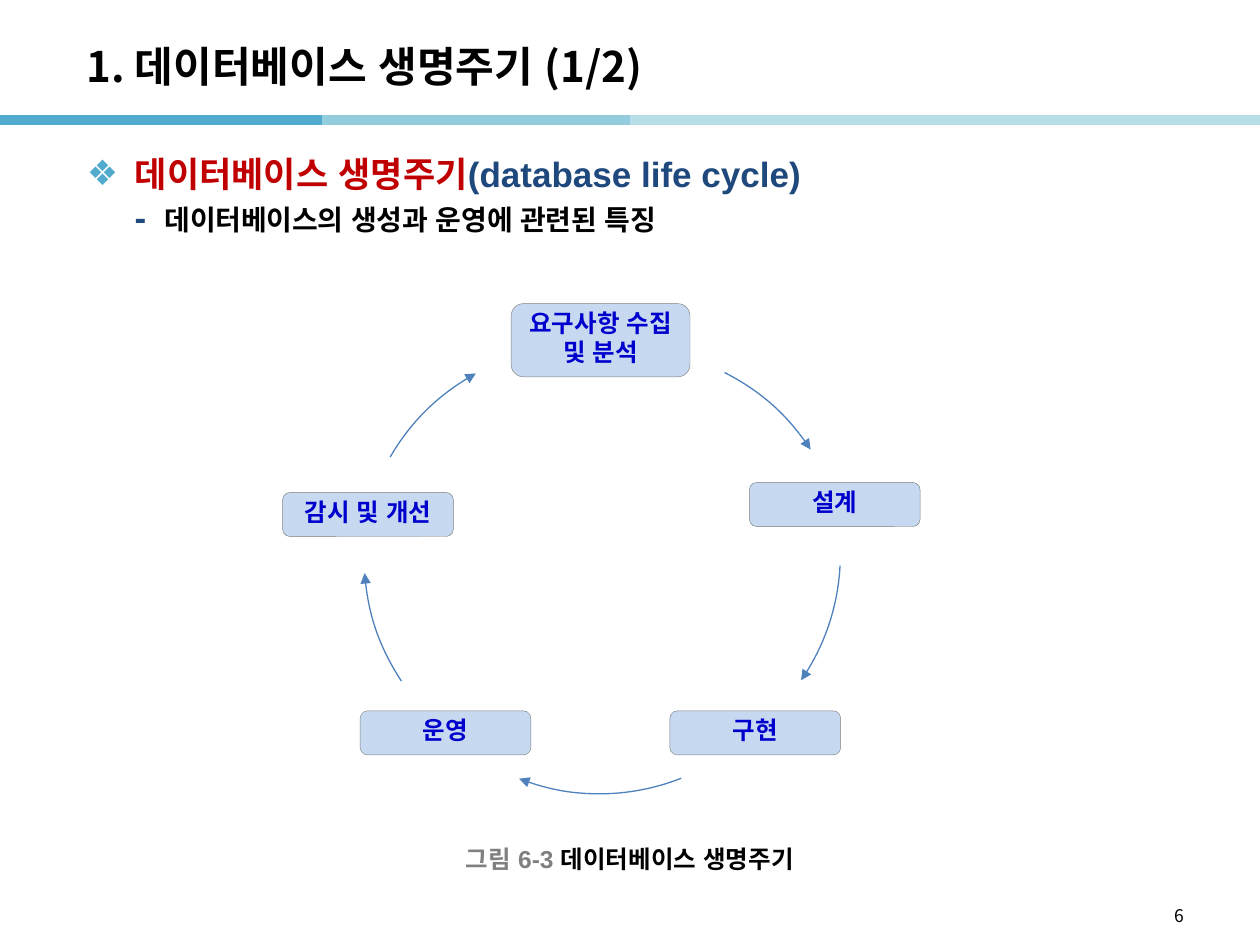
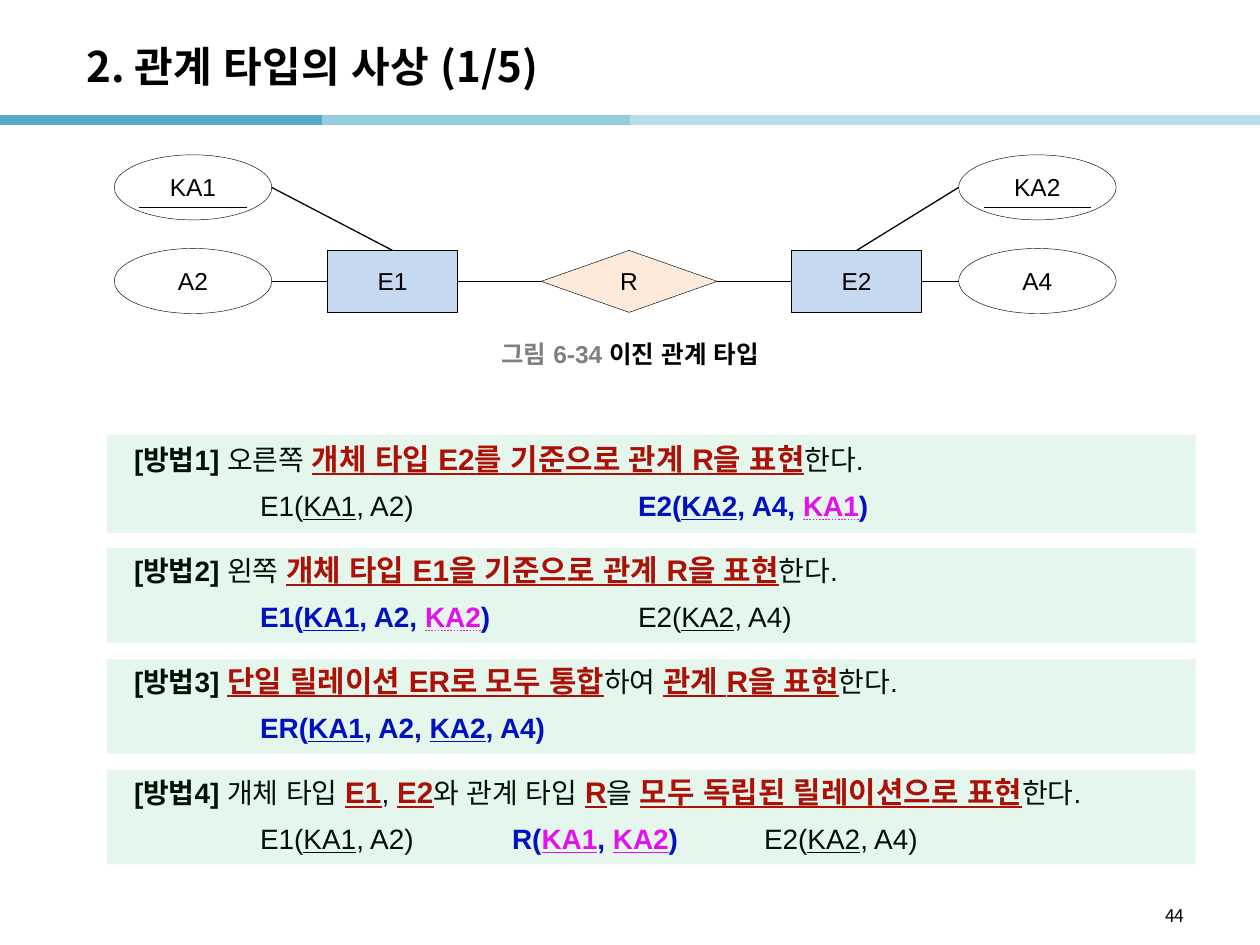
"""Build two lecture slides: the database life cycle and the mapping of relationship types."""
import pptx
import pptx.dml.color
import pptx.enum.shapes
import pptx.enum.text
import pptx.oxml
import pptx.oxml.ns
import pptx.util
from lxml import etree

Pt = pptx.util.Pt
qn = pptx.oxml.ns.qn
SHAPE = pptx.enum.shapes.MSO_SHAPE
ALIGN = pptx.enum.text.PP_ALIGN
ANCHOR = pptx.enum.text.MSO_ANCHOR
DOTTED = pptx.enum.text.MSO_UNDERLINE.DOTTED_LINE
KOREAN = "Noto Sans CJK KR"
BLACK, RED, BLUE, PINK = "000000", "C00000", "0000CC", "FF00FF"
NAVY, GREY, TEAL, PALE, ARROW = "1F497D", "808080", "50ABCC", "C6D9F1", "4F81BD"


def rgb(color):
    return pptx.dml.color.RGBColor.from_string(color)


def add_run(p, text, size, color=BLACK, bold=False, underline=None, font="Arial"):
    r = p.add_run()
    r.text = text
    r.font.size = Pt(size)
    r.font.bold = bold
    r.font.underline = underline
    r.font.color.rgb = rgb(color)
    r.font.name = font
    etree.SubElement(r.font._element, qn("a:ea"), typeface="Arial")


prs = pptx.Presentation()
prs.slide_width, prs.slide_height = Pt(720), Pt(540)
lines = []

pages = [
    ("1. 데이터베이스 생명주기 (1/2)", "6", "그림 6-3 ", "데이터베이스 생명주기", 479.5),
    ("2. 관계 타입의 사상 (1/5)", "44", "그림 6-34 ", "이진 관계 타입", 190.8),
]
slides = []
for title, number, figure, caption, caption_top in pages:
    slide = prs.slides.add_slide(prs.slide_layouts[5])
    slides.append(slide)

    sp = slide.shapes.title
    sp.left, sp.top, sp.width, sp.height = Pt(42.5), Pt(15.8), Pt(595.4), Pt(43.2)
    tf = sp.text_frame
    tf.auto_size = pptx.enum.text.MSO_AUTO_SIZE.NONE
    tf.vertical_anchor = ANCHOR.MIDDLE
    tf.paragraphs[0].alignment = ALIGN.LEFT
    add_run(tf.paragraphs[0], title, 24, bold=True, font=KOREAN)

    tf = slide.shapes.add_textbox(Pt(240), Pt(caption_top), Pt(240), Pt(22.3)).text_frame
    tf.word_wrap = True
    tf.vertical_anchor = ANCHOR.MIDDLE
    p = tf.paragraphs[0]
    p.alignment = ALIGN.CENTER
    add_run(p, figure, 14, GREY, bold=True)
    add_run(p, caption, 14, bold=True)

    tf = slide.shapes.add_textbox(Pt(516.2), Pt(513.4), Pt(167.8), Pt(20.2)).text_frame
    tf.word_wrap = True
    p = tf.paragraphs[0]
    p.alignment = ALIGN.RIGHT
    add_run(p, number, 10, font=KOREAN)

    for left, color in [(0, TEAL), (184.3, "93CDDD"), (360, "B7DEE8"), (537, "B7DEE8")]:
        lines.append((slide, left, 68.6, left + 184.3, 68.6, color, 6))

cycle, mapping = slides

tf = cycle.shapes.add_textbox(Pt(42.5), Pt(83), Pt(635), Pt(65.5)).text_frame
tf.word_wrap = True
bullets = [
    ("❖", 27.4, 27.4,
     [("데이터베이스 생명주기", 20, RED), ("(database life cycle)", 20, NAVY)]),
    (None, 44.4, 17,
     [("-\t", 20, NAVY), ("데이터베이스의 생성과 운영에 관련된 특징", 16, BLACK)]),
]
for i, (mark, margin, hang, runs) in enumerate(bullets):
    p = tf.add_paragraph() if i else tf.paragraphs[0]
    p.line_spacing = Pt(24.5)
    pPr = p._p.get_or_add_pPr()
    pPr.set("marL", str(Pt(margin)))
    pPr.set("indent", str(-Pt(hang)))
    if mark:
        buClr = etree.SubElement(pPr, qn("a:buClr"))
        etree.SubElement(buClr, qn("a:srgbClr"), val=TEAL)
        etree.SubElement(pPr, qn("a:buFont"), typeface="Arial")
        etree.SubElement(pPr, qn("a:buChar"), char=mark)
    for text, size, color in runs:
        add_run(p, text, size, color, bold=True)

nodes = [(cycle, SHAPE.ROUNDED_RECTANGLE, 292.1, 173.5, 102.2, 41.8, PALE, "요구사항 수집 및 분석")]
for left, top, text in [(428.2, 275.7, "설계"), (382.8, 406.2, "구현"),
                        (205.8, 406.2, "운영"), (161.5, 281.4, "감시 및 개선")]:
    nodes.append((cycle, SHAPE.ROUNDED_RECTANGLE, left, top, 97.6, 25.2, PALE, text))

for left, key, attribute in [(65.3, "KA1", "A2"), (547.8, "KA2", "A4")]:
    nodes.append((mapping, SHAPE.OVAL, left, 88.5, 90, 37.2, "FFFFFF", key))
    nodes.append((mapping, SHAPE.OVAL, left, 142, 90, 37.2, "FFFFFF", attribute))
    lines.append((mapping, left + 14.4, 118.3, left + 75.6, 118.3, BLACK, 0.25))
for left, entity in [(187.1, "E1"), (452.3, "E2")]:
    nodes.append((mapping, SHAPE.RECTANGLE, left, 143.1, 74.4, 35.4, PALE, entity))
nodes.append((mapping, SHAPE.FLOWCHART_DECISION, 309.2, 143.1, 100.6, 35.4, "FDEADA", "R"))
for x1, x2 in [(155.3, 187.1), (261.5, 309.2), (409.8, 452.3), (526.7, 547.8)]:
    lines.append((mapping, x1, 160.8, x2, 160.8, BLACK, 0.75))
for x1, x2 in [(224.3, 155.3), (489.5, 547.8)]:
    lines.append((mapping, x1, 143.1, x2, 107.1, BLACK, 0.75))

for slide, kind, left, top, width, height, fill, text in nodes:
    sp = slide.shapes.add_shape(kind, Pt(left), Pt(top), Pt(width), Pt(height))
    sp.shadow.inherit = False
    sp.fill.solid()
    sp.fill.fore_color.rgb = rgb(fill)
    sp.line.color.rgb = rgb(GREY if slide is cycle else BLACK)
    sp.line.width = Pt(0.25)
    tf = sp.text_frame
    tf.word_wrap = True
    tf.vertical_anchor = ANCHOR.MIDDLE
    tf.margin_left = tf.margin_right = Pt(5)
    tf.margin_top = 0
    tf.margin_bottom = Pt(3 if slide is cycle else 0)
    p = tf.paragraphs[0]
    p.alignment = ALIGN.CENTER
    p.line_spacing = Pt(16.5)
    add_run(p, text, 14, BLUE if slide is cycle else BLACK, bold=slide is cycle)

arcs = [(230.4, 199.4, 296.7, 326.9), (226.8, 190.1, 2.9, 34.6), (216, 200.2, 68.4, 111.3),
        (208.1, 192.2, 146.3, 176.1), (205.9, 198, 210.1, 241.4)]
for left, top, start, end in arcs:
    sp = cycle.shapes.add_shape(SHAPE.ARC, Pt(left), Pt(top), Pt(253.4), Pt(253.4))
    sp.shadow.inherit = False
    sp.adjustments[0] = start * 0.6
    sp.adjustments[1] = end * 0.6
    sp.fill.background()
    sp.line.color.rgb = rgb(ARROW)
    sp.line.width = Pt(0.75)
    etree.SubElement(sp.line._get_or_add_ln(), qn("a:tailEnd"), type="triangle")

styles = {
    "plain": (16, BLACK, False, None),
    "label": (16, BLACK, True, None),
    "stress": (17, RED, True, True),
    "key": (16, BLACK, False, True),
    "new": (16, BLUE, True, None),
    "new key": (16, BLUE, True, True),
    "foreign": (16, PINK, True, DOTTED),
    "foreign key": (16, PINK, True, True),
}
methods = [
    (248.4, 56.2, 4.1,
     [("label", "[방법1] "), ("plain", "오른쪽 "),
      ("stress", "개체 타입 E2를 기준으로 관계 R을 표현"), ("plain", "한다.")],
     [("plain", "\tE1("), ("key", "KA1"), ("plain", ", A2)\t\t"), ("new", "E2("),
      ("new key", "KA2"), ("new", ", A4, "), ("foreign", "KA1"), ("new", ")")]),
    (313.2, 54, 2.8,
     [("label", "[방법2] "), ("plain", "왼쪽 "),
      ("stress", "개체 타입 E1을 기준으로 관계 R을 표현"), ("plain", "한다.")],
     [("new", "\tE1("), ("new key", "KA1"), ("new", ", A2, "), ("foreign", "KA2"),
      ("new", ")"), ("plain", "\t\tE2("), ("key", "KA2"), ("plain", ", A4)")]),
    (376.6, 54, 2.8,
     [("label", "[방법3] "), ("stress", "단일 릴레이션 ER로 모두 통합"), ("plain", "하여 "),
      ("stress", "관계 R을 표현"), ("plain", "한다.")],
     [("new", "\tER("), ("new key", "KA1"), ("new", ", A2, "), ("new key", "KA2"),
      ("new", ", A4)")]),
    (440, 54, 2.8,
     [("label", "[방법4] "), ("plain", "개체 타입 "), ("stress", "E1"), ("plain", ", "),
      ("stress", "E2"), ("plain", "와 관계 타입 "), ("stress", "R"), ("plain", "을 "),
      ("stress", "모두 독립된 릴레이션으로 표현"), ("plain", "한다.")],
     [("plain", "\tE1("), ("key", "KA1"), ("plain", ", A2)\t"), ("new", "R("),
      ("foreign key", "KA1"), ("new", ", "), ("foreign key", "KA2"), ("new", ")"),
      ("plain", "\tE2("), ("key", "KA2"), ("plain", ", A4)")]),
]
for top, height, inset, rule, relations in methods:
    frame = Pt(61.2), Pt(top), Pt(622), Pt(height)
    tf = mapping.shapes.add_textbox(*frame).text_frame
    tf.word_wrap = True
    tf.margin_left, tf.margin_right = Pt(15.4), 0
    tf.margin_top, tf.margin_bottom = Pt(inset), 0
    for p, runs in [(tf.paragraphs[0], rule), (tf.add_paragraph(), relations)]:
        p.line_spacing = Pt(19.8)
        p.space_after = Pt(6)
        tabs = etree.SubElement(p._p.get_or_add_pPr(), qn("a:tabLst"))
        for stop in range(1, 6):
            etree.SubElement(tabs, qn("a:tab"), pos=str(Pt(72 * stop)), algn="l")
        for style, text in runs:
            add_run(p, text, *styles[style])

    sp = mapping.shapes.add_shape(SHAPE.RECTANGLE, *frame)
    sp.shadow.inherit = False
    sp.line.fill.background()
    sp.fill.solid()
    sp.fill.fore_color.rgb = rgb("00B050")
    tint = sp._element.spPr.find(".//" + qn("a:srgbClr"))
    etree.SubElement(tint, qn("a:alpha"), val="10000")

for slide, x1, y1, x2, y2, color, width in lines:
    cx = slide.shapes.add_connector(
        pptx.enum.shapes.MSO_CONNECTOR.STRAIGHT, Pt(x1), Pt(y1), Pt(x2), Pt(y2))
    cx.line.color.rgb = rgb(color)
    cx.line.width = Pt(width)
    etree.SubElement(cx._element.spPr, qn("a:effectLst"))

prs.save("out.pptx")
